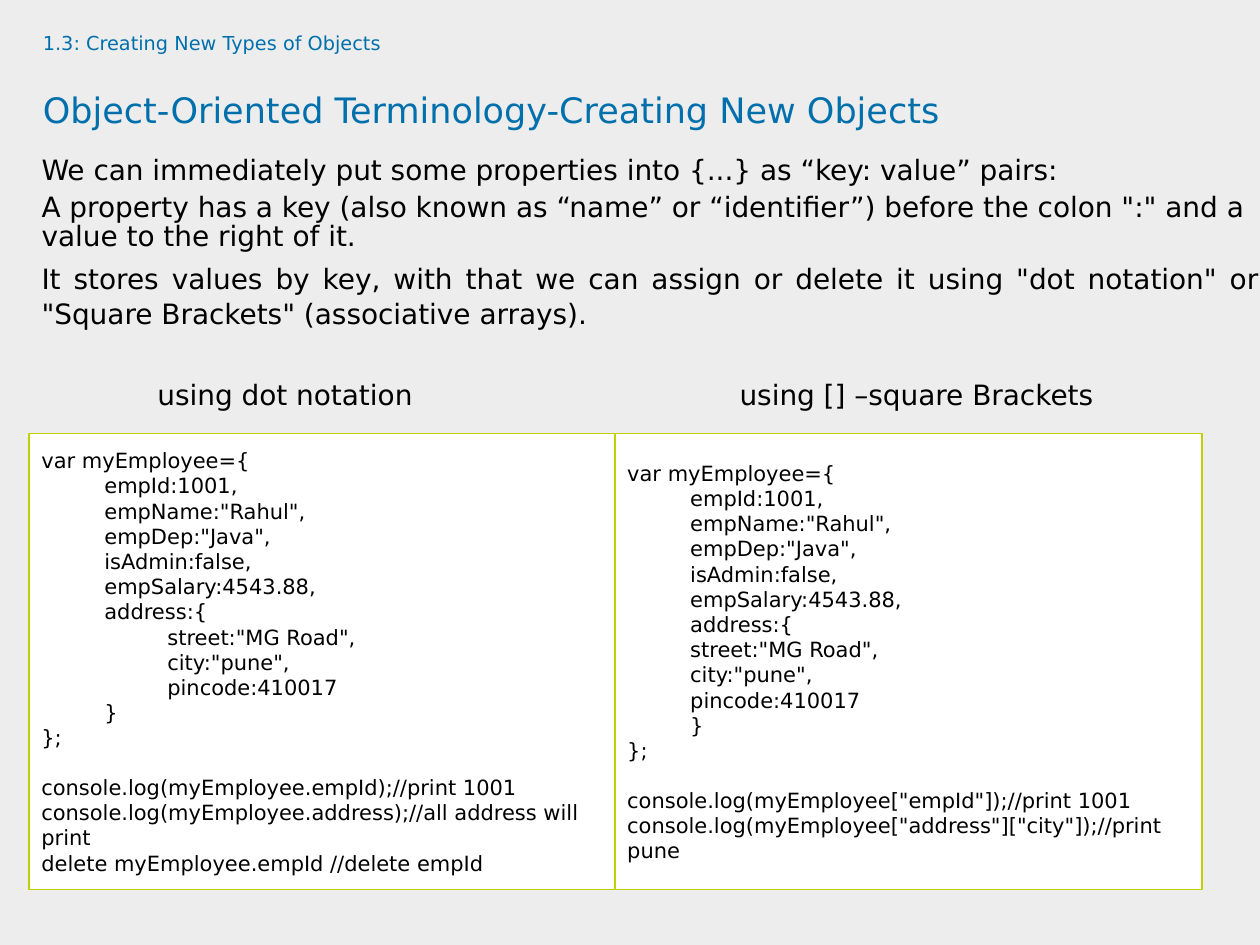
from pptx import Presentation
from pptx.dml.color import RGBColor
from pptx.enum.shapes import MSO_SHAPE as Shape
from pptx.enum.text import MSO_ANCHOR as Anchor, MSO_AUTO_SIZE as Fit, PP_ALIGN as Align
from pptx.util import Inches, Pt

FONT = "DejaVu Sans"
COLORS = {"back": "EDEDED", "title": "0070AD", "text": "000000",
          "panel": "FFFFFF", "edge": "C2CF00"}


def color(name):
    return RGBColor.from_string(COLORS[name])


def write(frame, lines, size, ink="text", inset=0):
    """Fill a text frame with one left-aligned paragraph per line."""
    frame.word_wrap = True
    frame.auto_size = Fit.NONE
    frame.margin_left = frame.margin_right = Inches(inset)
    frame.margin_top = frame.margin_bottom = Inches(inset / 2)
    frame.text = "\n".join(lines)
    for par in frame.paragraphs:
        par.alignment = Align.LEFT
        par.font.name = FONT
        par.font.size = Pt(size)
        par.font.color.rgb = color(ink)
    return frame.paragraphs


prs = Presentation()
prs.slide_width, prs.slide_height = Inches(10), Inches(7.5)
slide = prs.slides.add_slide(prs.slide_layouts[5])
slide.background.fill.solid()
slide.background.fill.fore_color.rgb = color("back")

# Title with its section line
title = slide.shapes.title
title.left, title.top = Inches(0.34), Inches(0.27)
title.width, title.height = Inches(9.09), Inches(0.8)
title.text_frame.vertical_anchor = Anchor.TOP
section, topic = write(title.text_frame, [
    "1.3: Creating New Types of Objects",
    "Object-Oriented Terminology-Creating New Objects"], 20, "title")
section.font.size = Pt(11)
section.line_spacing = topic.line_spacing = 0.9
section.space_before = Pt(0)
topic.space_before = Pt(22)

# Body text
body = slide.shapes.add_textbox(Inches(0.33), Inches(1.25), Inches(9.67), Inches(1.5))
pars = write(body.text_frame, [
    "We can immediately put some properties into {...} as “key: value” pairs:",
    "A property has a key (also known as “name” or “identifier”) before the colon \":\" "
    "and a value to the right of it.",
    "It stores values by key, with that we can assign or delete it using "
    "\"dot notation\" or \"Square Brackets\" (associative arrays)."], 16)
for par in pars:
    par.line_spacing = Pt(16.5)
    par.space_after = Pt(4.5)
pars[-1].alignment = Align.JUSTIFY
pars[-1].line_spacing = 1.05

# Code panels: heading, heading left, panel left, width, address level, closing lines
fields = ["empId:1001,", "empName:\"Rahul\",", "empDep:\"Java\",", "isAdmin:false,",
          "empSalary:4543.88,", "address:{"]
address = ["street:\"MG Road\",", "city:\"pune\",", "pincode:410017"]
panels = [
    ("using dot notation", 1.25, 0.23, 4.65, 2, [
        "console.log(myEmployee.empId);//print 1001",
        "console.log(myEmployee.address);//all address will print",
        "delete myEmployee.empId //delete empId"]),
    ("using [] –square Brackets", 5.87, 4.88, 4.66, 1, [
        "console.log(myEmployee[\"empId\"]);//print 1001",
        "console.log(myEmployee[\"address\"][\"city\"]);//print pune"]),
]
for head, x, left, width, deep, calls in panels:
    label = slide.shapes.add_textbox(Inches(x), Inches(3), Inches(3.4), Inches(0.3))
    write(label.text_frame, [head], 16)

    panel = slide.shapes.add_shape(Shape.RECTANGLE, Inches(left), Inches(3.44),
                                   Inches(width), Inches(3.62))
    panel.shadow.inherit = False
    panel.fill.solid()
    panel.fill.fore_color.rgb = color("panel")
    panel.line.color.rgb = color("edge")
    panel.line.width = Pt(1)
    panel.text_frame.vertical_anchor = Anchor.MIDDLE

    lines = ["var myEmployee={", *fields, *address, "}", "};", *calls]
    levels = [0] + [1] * len(fields) + [deep] * len(address) + [1, 0] + [0] * len(calls)
    pars = write(panel.text_frame, lines, 12, inset=0.1)
    for par, level in zip(pars, levels):
        par.level = level
        props = par._p.get_or_add_pPr()
        props.set("marL", str(Inches(0.5 * level)))
        props.set("indent", "0")
    pars[-len(calls)].space_before = Pt(14)

prs.save("out.pptx")
